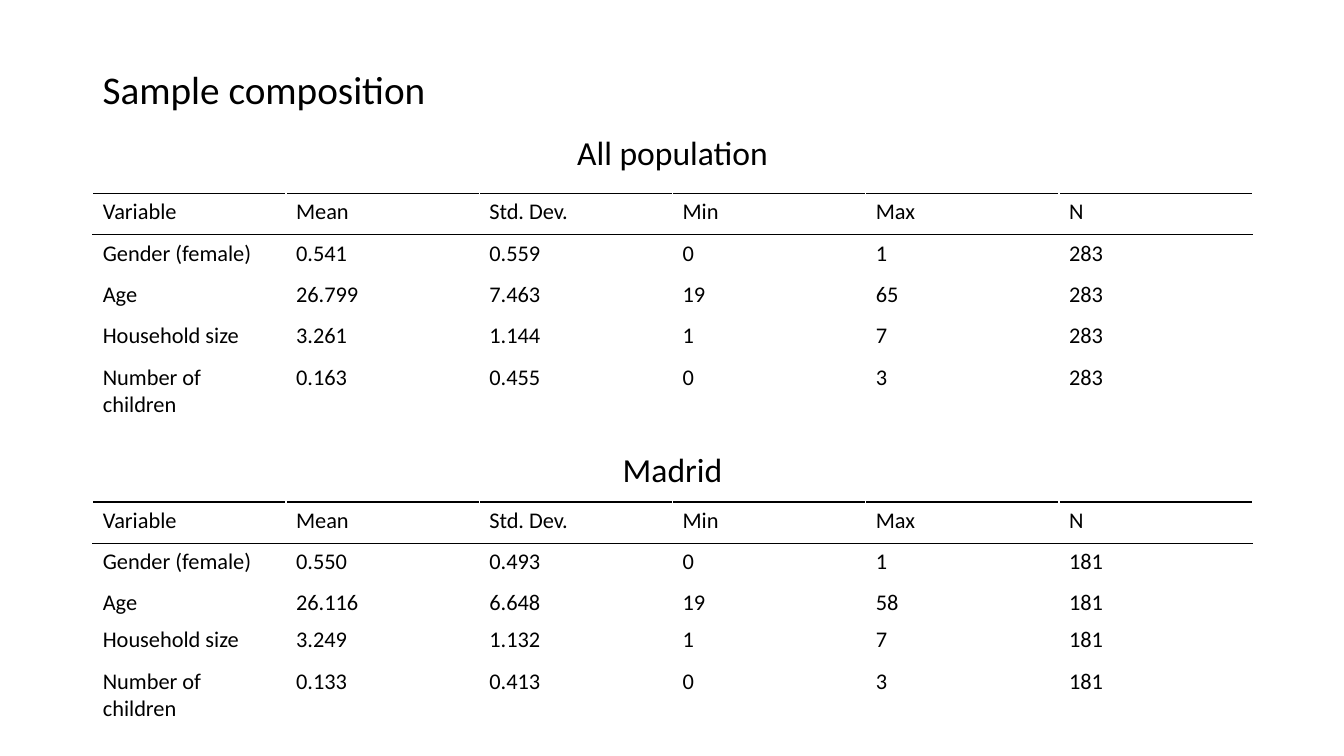
from lxml.etree import SubElement
from pptx import Presentation
from pptx.dml.color import RGBColor
from pptx.enum.text import MSO_ANCHOR, PP_ALIGN
from pptx.oxml.ns import qn
from pptx.util import Inches, Pt

COLORS = {"ink": "000000"}
FONT = "Calibri"
LEFT, WIDTH = 0.92, 11.5
ROW = 0.41
AGE_ROW_TIGHT = 0.15  # minimum height; the row grows to fit its text
HEADER = ["Variable", "Mean", "Std. Dev.", "Min", "Max", "N"]
ALL_POPULATION = [
    ["Gender (female)", "0.541", "0.559", "0", "1", "283"],
    ["Age", "26.799", "7.463", "19", "65", "283"],
    ["Household size", "3.261", "1.144", "1", "7", "283"],
    ["Number of children", "0.163", "0.455", "0", "3", "283"],
]
MADRID = [
    ["Gender (female)", "0.550", "0.493", "0", "1", "181"],
    ["Age", "26.116", "6.648", "19", "58", "181"],
    ["Household size", "3.249", "1.132", "1", "7", "181"],
    ["Number of children", "0.133", "0.413", "0", "3", "181"],
]


def add_run(p, text, size):
    r = p.add_run()
    r.text = text
    r.font.size = Pt(size)
    r.font.name = FONT
    r.font.bold = False
    r.font.color.rgb = RGBColor.from_string(COLORS["ink"])


def add_text(s, text, box, size, align=PP_ALIGN.LEFT, anchor=MSO_ANCHOR.TOP, spacing=1.0):
    tf = s.shapes.add_textbox(*map(Inches, box)).text_frame
    tf.word_wrap = True
    tf.vertical_anchor = anchor
    p = tf.paragraphs[0]
    p.alignment = align
    p.line_spacing = spacing
    add_run(p, text, size)


def add_rule(cell, side):
    """Draw a 1 pt line on the top (lnT) or bottom (lnB) of a cell."""
    ln = SubElement(cell._tc.get_or_add_tcPr(), qn(f"a:{side}"), w=str(Pt(1)))
    fill = SubElement(ln, qn("a:solidFill"))
    SubElement(fill, qn("a:srgbClr"), val=COLORS["ink"])


def add_stats_table(s, top, records, heights):
    rows = [HEADER] + records
    frame = s.shapes.add_table(len(rows), len(HEADER), Inches(LEFT), Inches(top),
                               Inches(WIDTH), Inches(sum(heights)))
    table = frame.table
    table.first_row = table.horz_banding = False
    for row, height in zip(table.rows, heights):
        row.height = Inches(height)
    for i, values in enumerate(rows):
        for j, value in enumerate(values):
            cell = table.cell(i, j)
            if i <= 1:
                add_rule(cell, "lnT")
            if i == 0:
                add_rule(cell, "lnB")
            cell.fill.background()
            add_run(cell.text_frame.paragraphs[0], value, 16)


def add_caption(s, text, top):
    width = WIDTH / 3
    add_text(s, text, (LEFT + width, top, width, 0.5), 24, PP_ALIGN.CENTER)


def main():
    prs = Presentation()
    prs.slide_width, prs.slide_height = Inches(13.33), Inches(7.5)
    s = prs.slides.add_slide(prs.slide_layouts[6])
    add_text(s, "Sample composition", (LEFT, 0.19, WIDTH, 1.45), 28,
             anchor=MSO_ANCHOR.MIDDLE, spacing=0.9)
    add_stats_table(s, 4.98, MADRID, [ROW, ROW, AGE_ROW_TIGHT, ROW, ROW])
    add_stats_table(s, 1.92, ALL_POPULATION, [ROW] * 5)
    add_caption(s, "All population", 1.26)
    add_caption(s, "Madrid", 4.4)
    prs.save("out.pptx")


if __name__ == "__main__":
    main()
